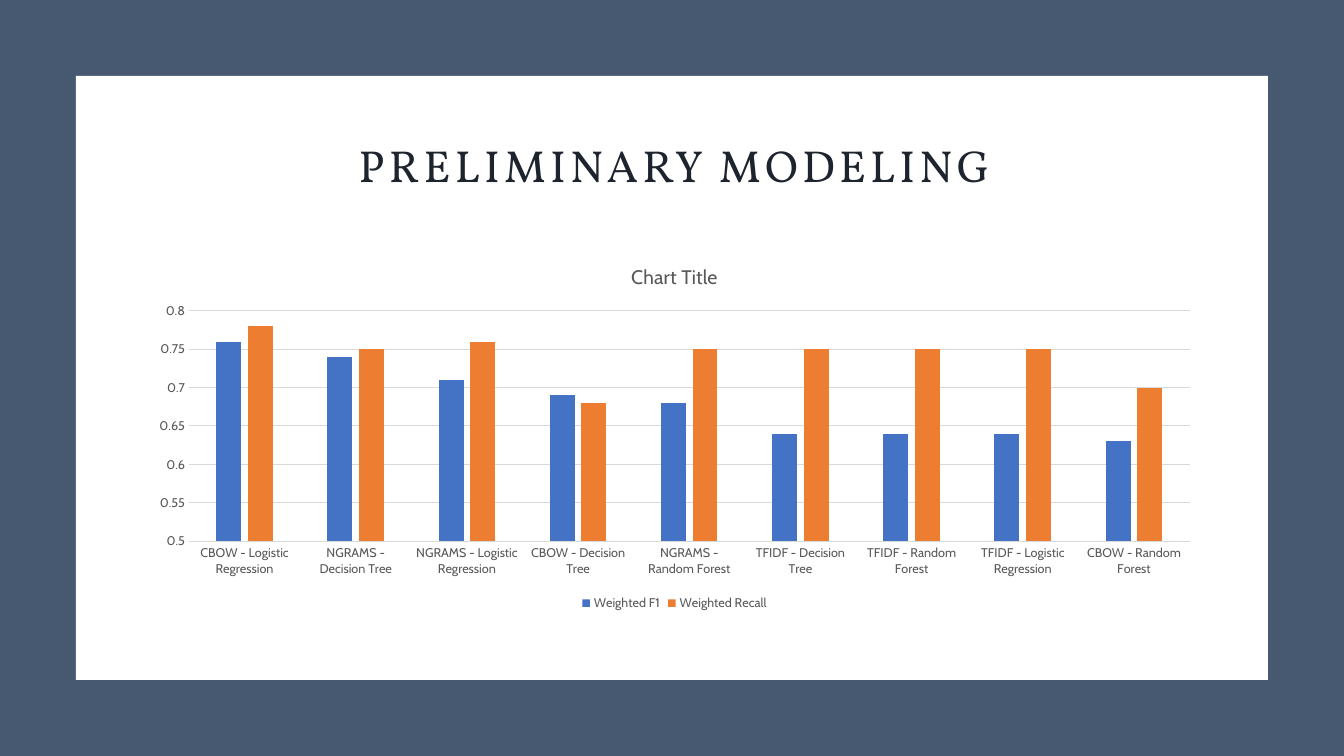
"""Build the preliminary modeling slide with its clustered column chart."""
import pptx
import pptx.util
import pptx.chart.data
import pptx.dml.color
import pptx.enum.chart
import pptx.enum.shapes
import pptx.enum.text

SCALE = 914400 / 100.8
HUES = {"navy": "475871", "white": "FFFFFF", "ink": "1D242E", "gray": "595959",
        "grid": "D9D9D9", "blue": "4472C4", "orange": "ED7D31"}
CHART = pptx.enum.chart


def hue(name):
    return pptx.dml.color.RGBColor.from_string(HUES[name])


def write(frame, text, *, size, font, color, spacing=0, leading=None):
    frame.word_wrap = True
    para = frame.paragraphs[0]
    para.alignment = pptx.enum.text.PP_ALIGN.CENTER
    para.line_spacing = leading
    run = para.add_run()
    run.text = text
    run.font.size = pptx.util.Pt(size)
    run.font.name = font
    run.font.bold = False
    run.font.color.rgb = hue(color)
    if spacing:
        run.font._element.set("spc", str(spacing * 100))


deck = pptx.Presentation()
deck.slide_width, deck.slide_height = [pptx.util.Emu(round(n * SCALE)) for n in (1344, 756)]
slide = deck.slides.add_slide(deck.slide_layouts[6])

panels = [("navy", (0, 0, 1344, 756)), ("white", (76, 76, 1192, 604))]
for color, box in panels:
    panel = slide.shapes.add_shape(pptx.enum.shapes.MSO_SHAPE.RECTANGLE,
                                   *[round(n * SCALE) for n in box])
    panel.shadow.inherit = False
    panel.fill.solid()
    panel.fill.fore_color.rgb = hue(color)
    panel.line.fill.background()

title = slide.shapes.add_textbox(*[round(n * SCALE) for n in (151, 118, 1047, 99)])
title.text_frame.vertical_anchor = pptx.enum.text.MSO_ANCHOR.MIDDLE
write(title.text_frame, "PRELIMINARY MODELING", size=32, font="Vollkorn",
      color="ink", spacing=3, leading=0.9)

scores = [
    ("CBOW - Logistic Regression", 0.76, 0.78),
    ("NGRAMS - Decision Tree", 0.74, 0.75),
    ("NGRAMS - Logistic Regression", 0.71, 0.76),
    ("CBOW - Decision Tree", 0.69, 0.68),
    ("NGRAMS - Random Forest", 0.68, 0.75),
    ("TFIDF - Decision Tree", 0.64, 0.75),
    ("TFIDF - Random Forest", 0.64, 0.75),
    ("TFIDF - Logistic Regression", 0.64, 0.75),
    ("CBOW - Random Forest", 0.63, 0.7),
]
models, f1, recall = zip(*scores)
data = pptx.chart.data.CategoryChartData()
data.categories = models
data.add_series("Weighted F1", f1)
data.add_series("Weighted Recall", recall)
chart = slide.shapes.add_chart(CHART.XL_CHART_TYPE.COLUMN_CLUSTERED,
                               *[round(n * SCALE) for n in (138, 247, 1073, 368)], data).chart
chart.font.name = "Cabin"
chart.font.size = pptx.util.Pt(10)
chart.has_title = True
write(chart.chart_title.text_frame, "Chart Title", size=14, font="Cabin", color="gray")
chart.chart_title.include_in_layout = False
chart.has_legend = True
chart.legend.position = CHART.XL_LEGEND_POSITION.BOTTOM
chart.legend.include_in_layout = False

plot = chart.plots[0]
plot.gap_width = 219
plot.overlap = -27
plot.vary_by_categories = False
for series, color in zip(plot.series, ("blue", "orange")):
    series.format.fill.solid()
    series.format.fill.fore_color.rgb = hue(color)
    series.invert_if_negative = False

cats, vals = chart.category_axis, chart.value_axis
for font in (cats.tick_labels.font, vals.tick_labels.font, chart.legend.font):
    font.name = "Cabin"
    font.size = pptx.util.Pt(9)
    font.color.rgb = hue("gray")
for axis in (cats, vals):
    axis.major_tick_mark = axis.minor_tick_mark = CHART.XL_TICK_MARK.NONE
vals.minimum_scale, vals.maximum_scale, vals.major_unit = 0.5, 0.8, 0.05
vals.has_major_gridlines = True
vals.format.line.fill.background()
for line in (cats.format.line, vals.major_gridlines.format.line):
    line.color.rgb = hue("grid")
    line.width = pptx.util.Pt(0.75)

deck.save("out.pptx")
